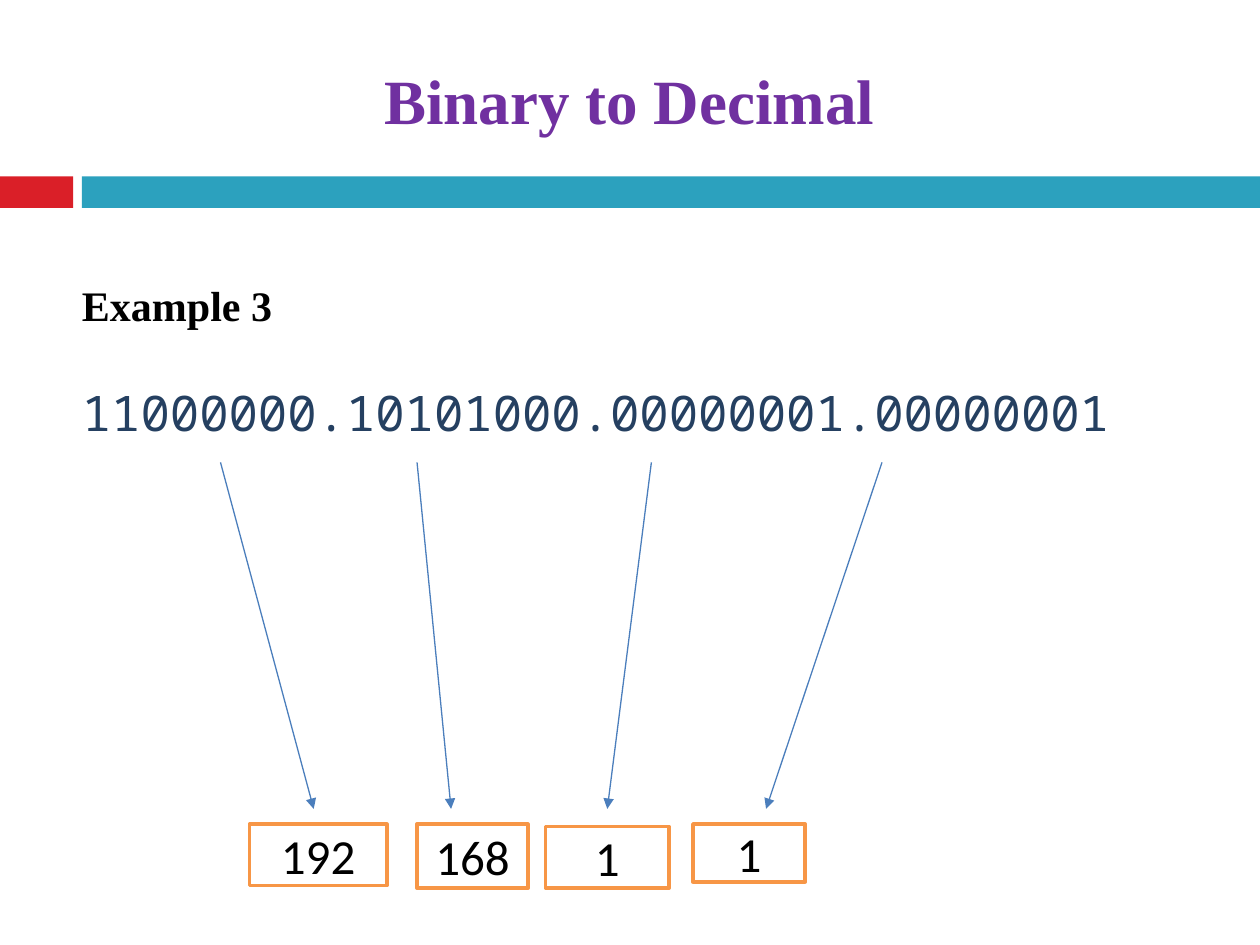
"""Build the slide that converts a binary address to decimal octets."""
from lxml.etree import SubElement
from pptx import Presentation
from pptx.dml.color import RGBColor
from pptx.enum.shapes import MSO_CONNECTOR, MSO_SHAPE
from pptx.enum.text import MSO_ANCHOR, PP_ALIGN
from pptx.oxml.ns import qn
from pptx.util import Inches, Pt

COLORS = {
    "title": "7030A0", "text": "000000", "binary": "254061", "arrow": "4B7EBC",
    "box_fill": "FFFFFF", "box_line": "F79646", "red": "DA1F28", "teal": "2CA1BE",
}
TITLE = "Binary to Decimal"
EXAMPLE = "Example 3"
BINARY = "11000000.10101000.00000001.00000001"

# Places are percentages of the slide's width and height.
BARS = [("red", 0, 5.8), ("teal", 6.5, 93.5)]
BAR_TOP, BAR_HEIGHT = 18.67, 3.33
ARROW_TOP, ARROW_BOTTOM = 48.93, 85.6
OCTETS = [
    {"value": "192", "arrow": (17.5, 24.9), "box": (19.8, 87.2, 10.9, 6.53)},
    {"value": "168", "arrow": (33.1, 35.8), "box": (33.1, 87.2, 8.8, 6.8)},
    {"value": "1", "arrow": (51.7, 48.2), "box": (43.3, 87.47, 9.8, 6.53)},
    {"value": "1", "arrow": (70, 60.8), "box": (55, 87.2, 8.9, 6.13)},
]

presentation = Presentation()
presentation.slide_width, presentation.slide_height = Inches(10), Inches(7.5)
slide = presentation.slides.add_slide(presentation.slide_layouts[6])


def place(*shares):
    sizes = (presentation.slide_width, presentation.slide_height)
    return [round(share * sizes[index % 2] / 100) for index, share in enumerate(shares)]


def color(name):
    return RGBColor.from_string(COLORS[name])


def write(paragraph, text, size, font="Times New Roman", ink="text", bold=False,
          align=PP_ALIGN.LEFT, before=0):
    paragraph.alignment = align
    paragraph.space_before = Pt(before)
    run = paragraph.add_run()
    run.text = text
    run.font.size, run.font.name, run.font.bold = Pt(size), font, bold
    run.font.color.rgb = color(ink)


def prepare_frame(shape, anchor=MSO_ANCHOR.TOP):
    frame = shape.text_frame
    frame.word_wrap = True
    frame.vertical_anchor = anchor
    frame.margin_left = frame.margin_right = frame.margin_top = frame.margin_bottom = 0
    return frame


def add_rectangle(box, fill, line=None):
    shape = slide.shapes.add_shape(MSO_SHAPE.RECTANGLE, *place(*box))
    shape.shadow.inherit = False
    shape.fill.solid()
    shape.fill.fore_color.rgb = color(fill)
    if line:
        shape.line.color.rgb = color(line)
        shape.line.width = Pt(2)
    else:
        shape.line.fill.background()
    return shape


def add_arrow(start, end):
    arrow = slide.shapes.add_connector(
        MSO_CONNECTOR.STRAIGHT, *place(start, ARROW_TOP, end, ARROW_BOTTOM))
    arrow.line.color.rgb = color("arrow")
    arrow.line.width = Pt(0.75)
    SubElement(arrow.line._get_or_add_ln(), qn("a:tailEnd"), type="triangle")
    SubElement(arrow._element.spPr, qn("a:effectLst"))


for fill, left, width in BARS:
    add_rectangle((left, BAR_TOP, width, BAR_HEIGHT), fill)

title = prepare_frame(slide.shapes.add_textbox(*place(7.5, 6.53, 84.9, 8)))
write(title.paragraphs[0], TITLE, 36, ink="title", bold=True, align=PP_ALIGN.CENTER)

body = prepare_frame(slide.shapes.add_textbox(*place(6.5, 29.6, 87.1, 18)))
write(body.paragraphs[0], EXAMPLE, 24, bold=True)
write(body.add_paragraph(), BINARY, 28, font="Noto Sans Mono", ink="binary", before=30)

for octet in OCTETS:
    add_arrow(*octet["arrow"])
    box = add_rectangle(octet["box"], "box_fill", "box_line")
    frame = prepare_frame(box, MSO_ANCHOR.MIDDLE)
    write(frame.paragraphs[0], octet["value"], 28, font="Calibri", align=PP_ALIGN.CENTER)

presentation.save("out.pptx")
